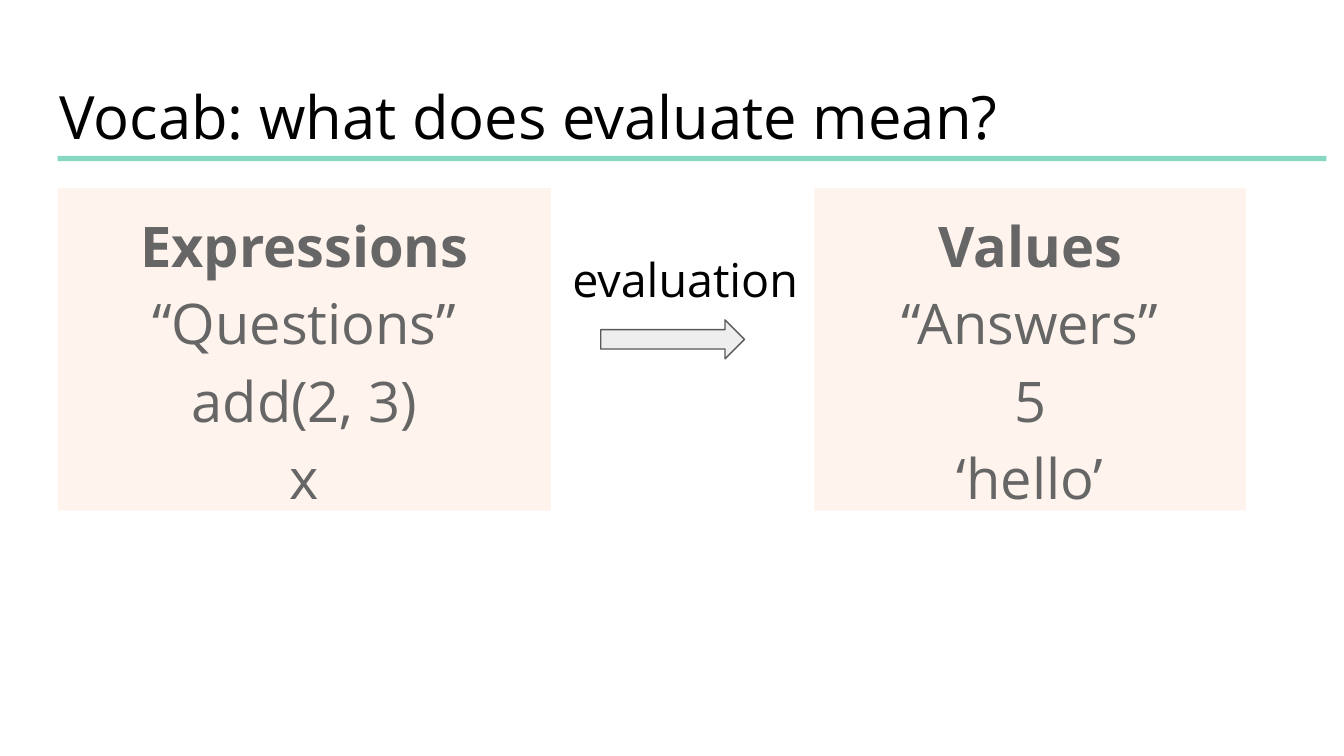
import pptx
import pptx.util
import pptx.dml.color
import pptx.enum.shapes
import pptx.enum.text

TITLE = "Vocab: what does evaluate mean?"
PANELS = [
    {"left": 0.43, "width": 3.67, "lines": ["Expressions", "“Questions”", "add(2, 3)", "x"]},
    {"left": 6.06, "width": 3.21, "lines": ["Values", "“Answers”", "5", "‘hello’"]},
]
LABEL = "evaluation"

THEME = {
    "font": "Open Sans",
    "title": 32, "body": 30, "label": 25,
    "ink": "000000", "muted": "666666", "rule": "86D9C0",
    "panel": "FFF4ED", "arrow": "EEEEEE", "outline": "595959",
}
WIDTH = 10
HEIGHT = WIDTH * 9 / 16
MARGIN, PANEL_TOP, PANEL_HEIGHT = 0.43, 1.4, 2.4
SHAPES = pptx.enum.shapes.MSO_SHAPE
ALIGN = pptx.enum.text.PP_ALIGN


def inches(*lengths):
    return [pptx.util.Inches(length) for length in lengths]


def color(name):
    return pptx.dml.color.RGBColor.from_string(THEME[name])


def add_block(page, kind, area, fill, line=None):
    block = page.shapes.add_shape(kind, *inches(*area))
    block.shadow.inherit = False
    block.fill.solid()
    block.fill.fore_color.rgb = color(fill)
    if line:
        block.line.color.rgb = color(line)
        block.line.width = pptx.util.Pt(0.75)
    else:
        block.line.fill.background()
    return block


def write(box, lines, size, ink, align=ALIGN.LEFT, spacing=1.0, bold_first=False):
    frame = box.text_frame
    frame.word_wrap = True
    frame.auto_size = pptx.enum.text.MSO_AUTO_SIZE.NONE
    frame.vertical_anchor = pptx.enum.text.MSO_ANCHOR.TOP
    inset = pptx.util.Inches(0.1)
    frame.margin_left = frame.margin_right = inset
    frame.margin_top = frame.margin_bottom = inset
    for index, line in enumerate(lines):
        para = frame.add_paragraph() if index else frame.paragraphs[0]
        para.text = line
        para.alignment = align
        para.line_spacing = spacing
        para.space_before = para.space_after = pptx.util.Pt(0)
        para.font.name = THEME["font"]
        para.font.size = pptx.util.Pt(THEME[size])
        para.font.color.rgb = color(ink)
        para.font.bold = bold_first and index == 0


deck = pptx.Presentation()
deck.slide_width, deck.slide_height = inches(WIDTH, HEIGHT)
page = deck.slides.add_slide(deck.slide_layouts[5])

title = page.shapes.title
title.left, title.top, title.width, title.height = inches(0.34, 0.49, 9.32, 0.63)
write(title, [TITLE], "title", "ink")

add_block(page, SHAPES.RECTANGLE, (MARGIN, 1.16, 9.44, 0.04), "rule")

for panel in PANELS:
    area = (panel["left"], PANEL_TOP, panel["width"], PANEL_HEIGHT)
    box = add_block(page, SHAPES.RECTANGLE, area, "panel")
    write(box, panel["lines"], "body", "muted", ALIGN.CENTER, 1.15, True)

add_block(page, SHAPES.RIGHT_ARROW, (4.47, 2.38, 1.07, 0.29), "arrow", "outline")
label = page.shapes.add_textbox(*inches(4.16, 1.77, 1.98, 0.56))
write(label, [LABEL], "label", "ink")

deck.save("out.pptx")
